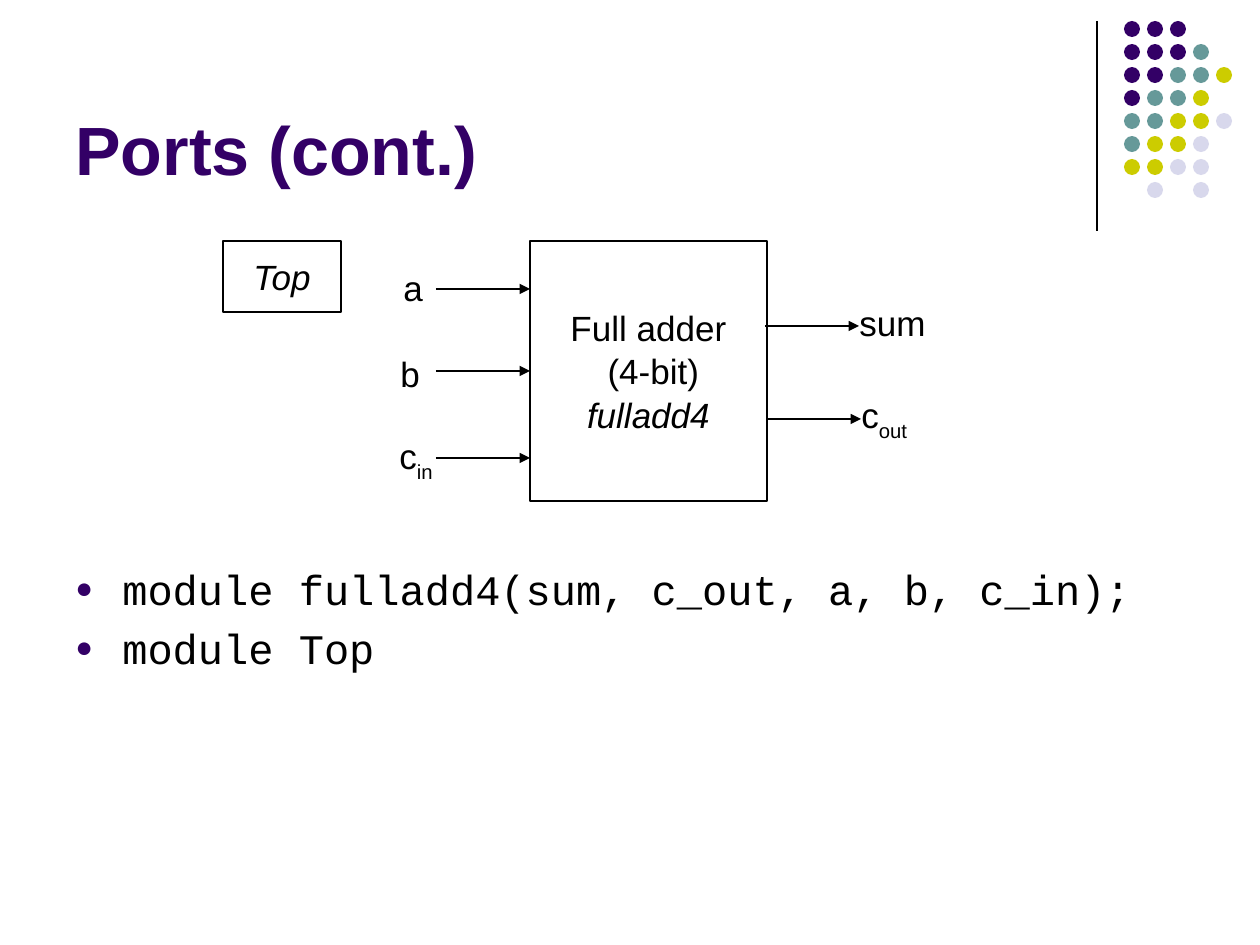
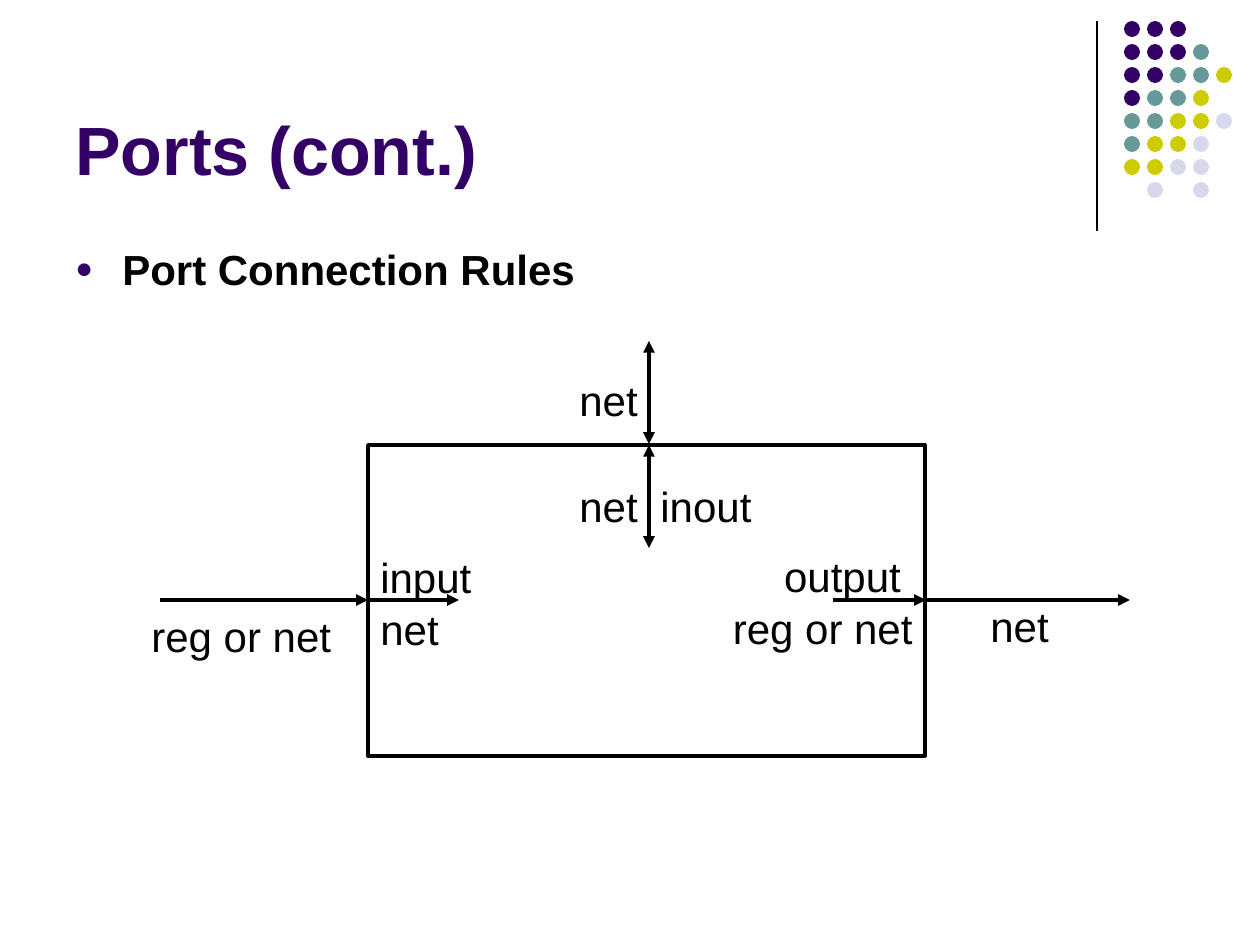
from lxml import etree
from pptx import Presentation
from pptx import util as u
from pptx.dml.color import RGBColor
from pptx.enum import shapes, text
from pptx.oxml import ns

PX = 7257  # EMU in one px, 126 px to the inch
INK, PURPLE, TEAL, OLIVE, MIST, PAPER = "000000", "330066", "669999", "CCCC00", "D8D8EC", "FFFFFF"
SANS, MONO = "Arial", "Courier New"
LEFT, CENTER, RIGHT = text.PP_ALIGN.LEFT, text.PP_ALIGN.CENTER, text.PP_ALIGN.RIGHT
TOP, MIDDLE, BOTTOM = text.MSO_ANCHOR.TOP, text.MSO_ANCHOR.MIDDLE, text.MSO_ANCHOR.BOTTOM


def add_text(slide, box, lines, size=20, font=SANS, color=INK, bold=False,
             align=LEFT, anchor=TOP, border=0, bullets=False):
    """Each line is a list of (words, style); style is "", "italic" or "sub"."""
    place = [v * PX for v in box]
    if border:
        holder = slide.shapes.add_shape(shapes.MSO_SHAPE.RECTANGLE, *place)
        holder.shadow.inherit = False
        holder.fill.solid()
        holder.fill.fore_color.rgb = RGBColor.from_string(PAPER)
        holder.line.color.rgb = RGBColor.from_string(INK)
        holder.line.width = u.Pt(border)
    else:
        holder = slide.shapes.add_textbox(*place)
    frame = holder.text_frame
    frame.word_wrap = True
    frame.vertical_anchor = anchor
    for i, line in enumerate(lines):
        para = frame.add_paragraph() if i else frame.paragraphs[0]
        para.alignment = align
        para.space_before = u.Pt(5 if bullets else min(i, 1))
        for words, style in line:
            run = para.add_run()
            run.text = words
            run.font.name, run.font.size, run.font.bold = font, u.Pt(size), bold
            run.font.italic = style == "italic"
            run.font.color.rgb = RGBColor.from_string(color)
            if style == "sub":
                run.font._element.set("baseline", "-30000")
        if bullets:
            props = para._p.get_or_add_pPr()
            props.set("marL", str(47 * PX))
            props.set("indent", str(-47 * PX))
            tint = etree.SubElement(props, ns.qn("a:buClr"))
            etree.SubElement(tint, ns.qn("a:srgbClr"), val=PURPLE)
            etree.SubElement(props, ns.qn("a:buSzPct"), val="70000")
            etree.SubElement(props, ns.qn("a:buFont"), typeface=SANS)
            etree.SubElement(props, ns.qn("a:buChar"), char="●")


def add_line(slide, x1, y1, x2, y2, width, ends=()):
    line = slide.shapes.add_connector(
        shapes.MSO_CONNECTOR.STRAIGHT, x1 * PX, y1 * PX, x2 * PX, y2 * PX)
    line.line.color.rgb = RGBColor.from_string(INK)
    line.line.width = u.Pt(width)
    stroke = line.line._get_or_add_ln()
    for end in ends:
        etree.SubElement(stroke, ns.qn(f"a:{end}"), type="triangle")
    etree.SubElement(line._element.spPr, ns.qn("a:effectLst"))


deck = Presentation()
deck.slide_width, deck.slide_height = u.Inches(10), u.Inches(7.5)

# Shared by both slides: rule, dot pattern and title
DOT_COLORS = {"P": PURPLE, "T": TEAL, "O": OLIVE, "M": MIST}
DOT_ROWS = ["PPP", "PPPT", "PPTTO", "PTTO", "TTOOM", "TOOM", "OOMM", ".M.M"]
DOT_SIZE, DOT_PITCH = 16, 23
for _ in range(2):
    slide = deck.slides.add_slide(deck.slide_layouts[6])
    add_line(slide, 1097, 21, 1097, 231, 0.75)
    for row, codes in enumerate(DOT_ROWS):
        for col, code in enumerate(codes):
            if code == ".":
                continue
            dot = slide.shapes.add_shape(
                shapes.MSO_SHAPE.OVAL, (1124 + col * DOT_PITCH) * PX,
                (21 + row * DOT_PITCH) * PX, DOT_SIZE * PX, DOT_SIZE * PX)
            dot.shadow.inherit = False
            dot.fill.solid()
            dot.fill.fore_color.rgb = RGBColor.from_string(DOT_COLORS[code])
            dot.line.fill.background()
    add_text(slide, (63, 16, 1040, 179), [[("Ports (cont.)", "")]],
             size=39, color=PURPLE, bold=True, anchor=BOTTOM)
adder_slide, rules_slide = deck.slides

# Slide 1: module declarations
add_text(adder_slide, (63, 557, 1134, 120),
         [[("module fulladd4(sum, c_out, a, b, c_in);", "")], [("module Top", "")]],
         size=24, font=MONO, bullets=True)

# Slide 1: full adder with its ports
add_text(adder_slide, (530, 241, 237, 260),
         [[("Full adder", "")], [(" (4-bit)", "")], [("fulladd4", "italic")]],
         align=CENTER, anchor=MIDDLE, border=1.25)
add_text(adder_slide, (223, 241, 118, 71), [[("Top", "italic")]],
         align=CENTER, anchor=MIDDLE, border=0.75)
for x, y in [(436, 289), (436, 371), (436, 458), (765, 326), (767, 419)]:
    add_line(adder_slide, x, y, x + 94, y, 1.5, ["tailEnd"])
for x, y, width, port in [
        (391, 260, 48, [("a", "")]),
        (388, 346, 48, [("b", "")]),
        (387, 428, 71, [("c", ""), ("in", "sub")]),
        (847, 295, 108, [("sum", "")]),
        (849, 387, 106, [("c", ""), ("out", "sub")])]:
    add_text(adder_slide, (x, y, width, 60), [port])

# Slide 2: heading and module outline
add_text(rules_slide, (63, 237, 1134, 70), [[("Port Connection Rules", "")]],
         size=24, bold=True, bullets=True)
add_text(rules_slide, (368, 445, 557, 311), [], border=2)

# Slide 2: inout arrows down through the top edge
for y in (341, 445):
    add_line(rules_slide, 649, y, 649, y + 103, 2.25, ["headEnd", "tailEnd"])

# Slide 2: input and output arrows along one level
for start, end in [(160, 368), (924, 1130), (366, 459), (833, 926)]:
    add_line(rules_slide, start, 600, end, 600, 2.25, ["tailEnd"])

# Slide 2: connection labels
for x, y, width, align, names in [
        (567, 474, 85, LEFT, ["net"]),
        (648, 474, 130, LEFT, ["inout"]),
        (567, 368, 130, LEFT, ["net"]),
        (139, 604, 208, LEFT, ["reg or net"]),
        (978, 594, 103, LEFT, ["net"]),
        (368, 545, 125, LEFT, ["input", "net"]),
        (665, 544, 260, RIGHT, ["output ", "reg or net"])]:
    add_text(rules_slide, (x, y, width, 60 * len(names)),
             [[(name, "")] for name in names], size=24, align=align)

deck.save("out.pptx")
